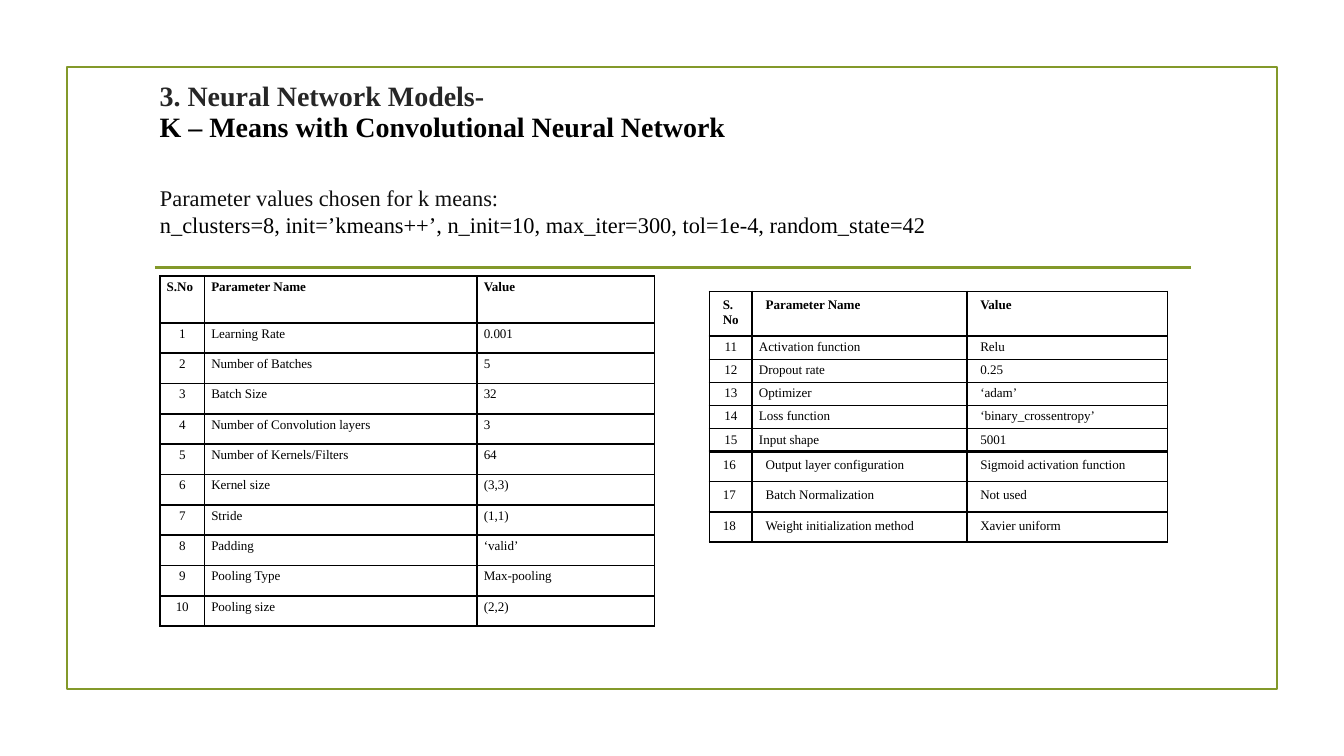
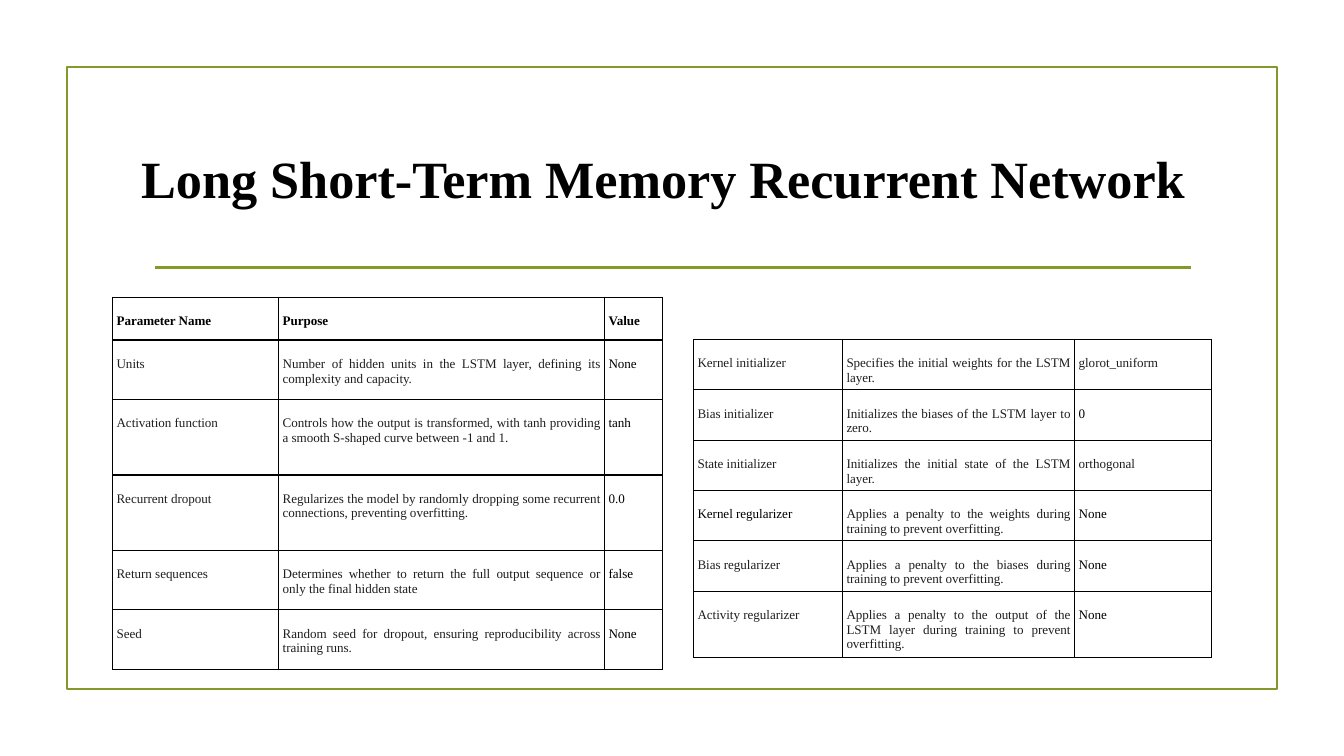
from dataclasses import dataclass

from lxml.etree import SubElement
from pptx import Presentation
from pptx.dml.color import RGBColor as RGB
from pptx.enum.shapes import MSO_CONNECTOR as Connector, MSO_SHAPE as Shape
from pptx.enum.text import MSO_ANCHOR as Anchor, PP_ALIGN as Align
from pptx.oxml.ns import qn
from pptx.util import Pt


@dataclass(frozen=True)
class Theme:
    font: str = "Times New Roman"
    olive: str = "83992A"
    paper: str = "FFFFFF"
    ink: str = "000000"
    charcoal: str = "262626"
    body: str = "0F0F0F"
    soft: str = "1F1F1F"
    title: float = 28
    heading: float = 15
    text: float = 12
    cell: float = 7
    rule: float = 1.25


@dataclass(frozen=True)
class Grid:
    lefts: tuple
    top: float
    right: float
    bottom: float
    border: float
    aligns: tuple
    soft_names: bool = False


THEME = Theme()
LEFT, CENTER, JUSTIFY = Align.LEFT, Align.CENTER, Align.JUSTIFY
COMPACT = Grid((3.6, 3.6, 3.6), 2, 3.6, 2, 1, (CENTER, LEFT, LEFT))
INDENTED = Grid((3.6, 3.6, 7.2), 2, 3.6, 2, 1, (CENTER, LEFT, LEFT))
ROOMY = Grid((7.2, 7.2, 7.2), 3.6, 7.2, 3.6, 1, (LEFT, LEFT, LEFT))
LOWERED = Grid((2.2, 2.2, 2.2), 9, 2.2, 1.2, 0.75, (JUSTIFY,) * 3, True)


class Deck:
    def __init__(self, theme):
        self.theme = theme
        self.show = Presentation()
        self.show.slide_width, self.show.slide_height = Pt(720), Pt(405)
        self.slide = None

    def new_slide(self):
        self.slide = self.show.slides.add_slide(self.show.slide_layouts[6])
        frame = self.slide.shapes.add_shape(Shape.RECTANGLE, Pt(36), Pt(36), Pt(648), Pt(333))
        frame.shadow.inherit = False
        frame.fill.background()
        self.stroke(frame.line)
        self.rule(83, 638, 143.3)

    def stroke(self, line):
        line.color.rgb = RGB.from_string(self.theme.olive)
        line.width = Pt(self.theme.rule)

    def rule(self, start, end, y):
        divider = self.slide.shapes.add_connector(
            Connector.STRAIGHT, Pt(start), Pt(y), Pt(end), Pt(y))
        self.stroke(divider.line)
        SubElement(divider._element.spPr, qn("a:effectLst"))

    def style(self, paragraph, size, color, bold=False):
        for run in paragraph.runs:
            run.font.name = self.theme.font
            run.font.size = Pt(size)
            run.font.bold = bold
            run.font.color.rgb = RGB.from_string(color)

    def text(self, box, lines, colors, size, bold=False, insets=(0, 0), spacing=1.0, fill=None):
        holder = self.slide.shapes.add_textbox(*map(Pt, box))
        if fill:
            holder.fill.solid()
            holder.fill.fore_color.rgb = RGB.from_string(fill)
        frame = holder.text_frame
        frame.word_wrap = True
        frame.vertical_anchor = Anchor.MIDDLE
        frame.margin_left = frame.margin_right = Pt(insets[0])
        frame.margin_top = frame.margin_bottom = Pt(insets[1])
        frame.text = "\n".join(lines)
        for paragraph, color in zip(frame.paragraphs, colors):
            paragraph.line_spacing = spacing
            self.style(paragraph, size, color, bold)

    def title(self, box, lines, colors, size):
        self.text(box, lines, colors, size, True, (5, 2.9), 0.9)

    def borders(self, cell, width):
        props = cell._tc.get_or_add_tcPr()
        for place, side in enumerate(("lnL", "lnR", "lnT", "lnB")):
            edge = SubElement(props, qn(f"a:{side}"), w=str(Pt(width)))
            paint = SubElement(edge, qn("a:solidFill"))
            SubElement(paint, qn("a:srgbClr"), val=self.theme.ink)
            props.insert(place, edge)

    def table(self, left, top, widths, heights, rows, grid, header=False, exceptions=()):
        table = self.slide.shapes.add_table(
            len(rows), len(widths), Pt(left), Pt(top), Pt(sum(widths)), Pt(sum(heights))).table
        table.first_row = table.horz_banding = False
        for column, width in zip(table.columns, widths):
            column.width = Pt(width)
        for r, (row, height) in enumerate(zip(rows, heights)):
            table.rows[r].height = Pt(height)
            for c, entry in enumerate(row):
                cell = table.cell(r, c)
                heading = header and r == 0
                is_value = c == len(row) - 1
                dark = heading or not grid.soft_names or is_value != (entry in exceptions)
                cell.fill.background()
                cell.margin_left, cell.margin_right = Pt(grid.lefts[c]), Pt(grid.right)
                cell.margin_top, cell.margin_bottom = Pt(grid.top), Pt(grid.bottom)
                cell.text_frame.text = entry
                paragraph = cell.text_frame.paragraphs[0]
                paragraph.alignment = LEFT if heading else grid.aligns[c]
                self.style(paragraph, self.theme.cell,
                           self.theme.ink if dark else self.theme.soft, heading)
                self.borders(cell, grid.border)
        return top + sum(heights)


def numbered(pairs, first):
    return [(str(number), *pair) for number, pair in enumerate(pairs, first)]


HEADINGS = ("S.No", "Parameter Name", "Value")
NETWORK = [
    ("Learning Rate", "0.001"),
    ("Number of Batches", "5"),
    ("Batch Size", "32"),
    ("Number of Convolution layers", "3"),
    ("Number of Kernels/Filters", "64"),
    ("Kernel size", "(3,3)"),
    ("Stride", "(1,1)"),
    ("Padding", "‘valid’"),
    ("Pooling Type", "Max-pooling"),
    ("Pooling size", "(2,2)"),
]
TRAINING = [
    ("Activation function", "Relu"),
    ("Dropout rate", "0.25"),
    ("Optimizer", "‘adam’"),
    ("Loss function", "‘binary_crossentropy’"),
    ("Input shape", "5001"),
]
OUTPUT = [
    ("Output layer configuration", "Sigmoid activation function"),
    ("Batch Normalization", "Not used"),
    ("Weight initialization method", "Xavier uniform"),
]
LSTM = [
    ("Parameter Name", "Purpose", "Value"),
    ("Units", "Number of hidden units in the LSTM layer, defining its complexity and capacity.",
     "None"),
    ("Activation function", "Controls how the output is transformed, with tanh providing "
     "a smooth S-shaped curve between -1 and 1.", "tanh"),
    ("Recurrent dropout", "Regularizes the model by randomly dropping some recurrent "
     "connections, preventing overfitting.", "0.0"),
    ("Return sequences", "Determines whether to return the full output sequence or only "
     "the final hidden state", "false"),
    ("Seed", "Random seed for dropout, ensuring reproducibility across training runs.", "None"),
]
INITIALIZERS = [
    ("Kernel initializer", "Specifies the initial weights for the LSTM layer.",
     "glorot_uniform"),
    ("Bias initializer", "Initializes the biases of the LSTM layer to zero.", "0"),
    ("State initializer", "Initializes the initial state of the LSTM layer.", "orthogonal"),
    ("Kernel regularizer", "Applies a penalty to the weights during training to prevent "
     "overfitting.", "None"),
    ("Bias regularizer", "Applies a penalty to the biases during training to prevent "
     "overfitting.", "None"),
    ("Activity regularizer", "Applies a penalty to the output of the LSTM layer during "
     "training to prevent overfitting.", "None"),
]


def kmeans_slide(deck):
    theme = deck.theme
    deck.new_slide()
    deck.title((80.5, 41.5, 528, 38),
               ["3. Neural Network Models-", "K – Means with Convolutional Neural Network"],
               (theme.charcoal, theme.ink), theme.heading)
    deck.text((85.7, 98.6, 514, 29),
              ["Parameter values chosen for k means:",
               "n_clusters=8, init=’kmeans++’, n_init=10, max_iter=300, tol=1e-4, random_state=42"],
              (theme.body, theme.ink), theme.text, fill=theme.paper)
    deck.table(85.7, 147.8, (23.9, 146, 95), [25.2] + [16.25] * len(NETWORK),
               [HEADINGS] + numbered(NETWORK, 1), COMPACT, header=True)

    left, widths = 380, (23, 115, 107.5)
    bottom = deck.table(left, 156.2, widths, [23.9], [HEADINGS], ROOMY, header=True)
    bottom = deck.table(left, bottom, widths, [12.3] * len(TRAINING),
                        numbered(TRAINING, 11), INDENTED)
    deck.table(left, bottom, widths, [16.3] * len(OUTPUT), numbered(OUTPUT, 16), ROOMY)


def lstm_slide(deck):
    theme = deck.theme
    deck.new_slide()
    deck.title((70.6, 59, 578, 77), ["Long Short-Term Memory Recurrent Network"],
               (theme.ink,), theme.title)
    deck.table(60.3, 159.2, (89, 174.6, 31), (23, 31.8, 40.5, 40.5, 31.8, 31.8),
               LSTM, LOWERED, header=True)
    deck.table(371.5, 181.8, (79.8, 124.4, 73.4), [25.7] * 5 + [33.3], INITIALIZERS, LOWERED,
               exceptions=("glorot_uniform", "orthogonal", "Kernel regularizer"))


def main():
    deck = Deck(THEME)
    kmeans_slide(deck)
    lstm_slide(deck)
    deck.show.save("out.pptx")


if __name__ == "__main__":
    main()
